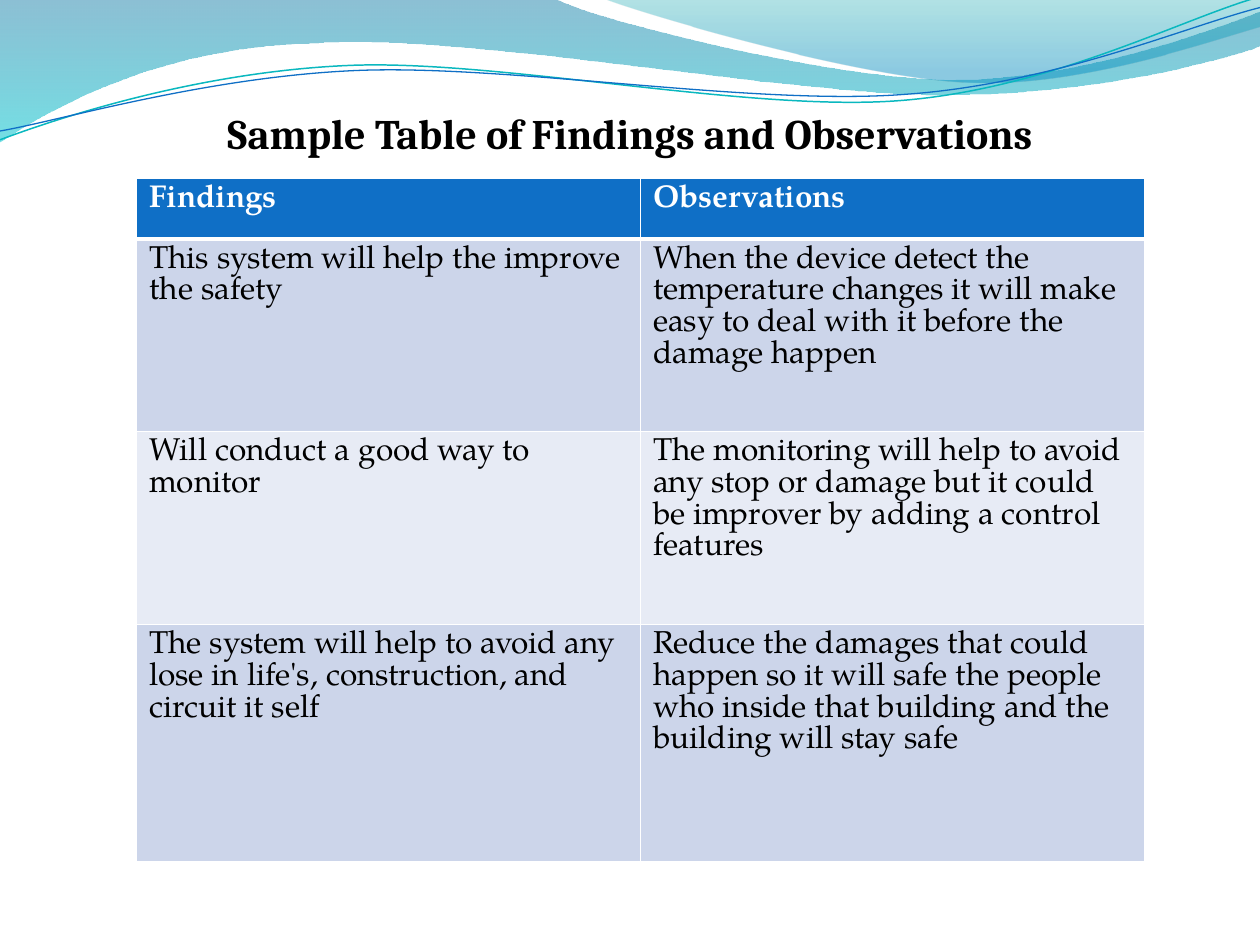
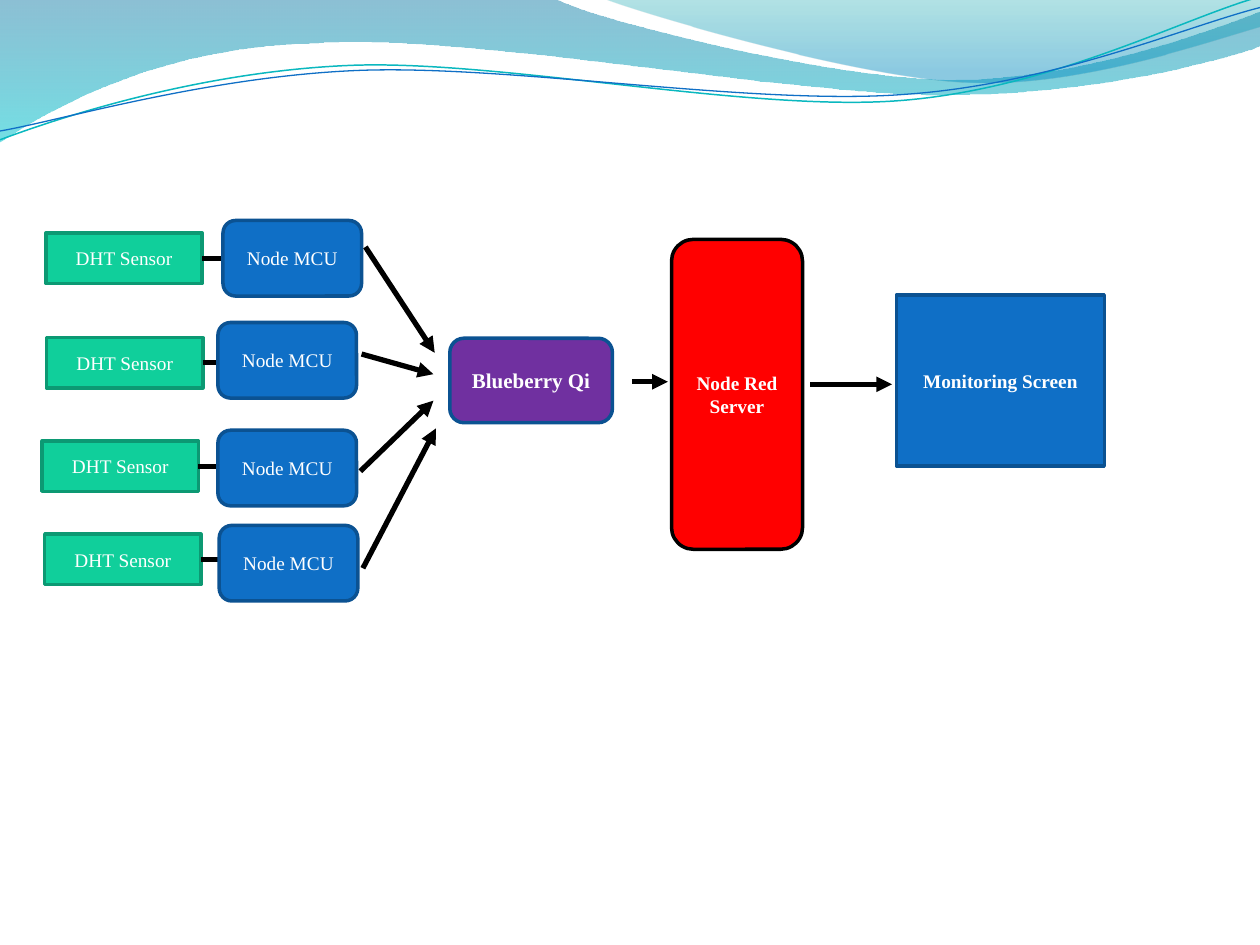
from pptx import Presentation
from pptx import util as u
from pptx.dml.color import RGBColor
from pptx.enum import shapes, text
from pptx.oxml.ns import qn
from lxml import etree

BLACK = RGBColor(0, 0, 0)
WHITE = RGBColor(255, 255, 255)
BLUE = RGBColor(0x0F, 0x6F, 0xC6)
NAVY = RGBColor(0x0B, 0x52, 0x92)
GREEN = RGBColor(0x10, 0xCF, 0x9B)
PINE = RGBColor(0x0C, 0x99, 0x73)
RED = RGBColor(255, 0, 0)
PURPLE = RGBColor(0x70, 0x30, 0xA0)
TEAL = RGBColor(0x0A, 0xB8, 0xBF)
PALE = RGBColor(0xE7, 0xEB, 0xF5)
MIST = RGBColor(0xCC, 0xD5, 0xEA)
DEEP = RGBColor(0, 0x74, 0xA1)
AQUA = RGBColor(0, 0xC6, 0xCF)
SEA = RGBColor(0, 0xA1, 0xA9)
SKY = RGBColor(0, 0x8B, 0xBF)

COLS, ROWS = 100, 75
UNIT = u.Inches(0.1)
SERIF = "Times New Roman"
RECT = shapes.MSO_SHAPE.RECTANGLE
ROUND = shapes.MSO_SHAPE.ROUNDED_RECTANGLE

WAVES = [
    ([(0, 0), (44, -0.1), (47.6, 1.7, 66.4, 6.3, 75.8, 6.3),
      (85.3, 6.3, 95.8, 2.6, 100, 0.9), (100.1, 3.6),
      (98.3, 4.4, 87, 7.6, 74.6, 7.5), (62.2, 7.5, 38.2, 2.8, 25.7, 3.4),
      (12.9, 3.6, 4.6, 8.3, -0.1, 11.3)],
     [(0, DEEP, 45), (1, AQUA, 55)]),
    ([(47.9, -0.1), (50.9, 1.1, 68.2, 6.2, 76.9, 6.5),
      (85.6, 6.9, 96.1, 3.2, 100, 2.1), (100, 0)],
     [(0, SEA, 30), (0.8, SKY, 45)]),
]
STROKES = [
    ([(0, 11.1), (4.8, 9.3, 15.8, 5.7, 27.7, 5.2),
      (39.5, 4.7, 59.3, 8.9, 71.3, 8), (83.3, 7.1, 93.8, 1.5, 99.8, -0.2)],
     TEAL, 0.85),
    ([(0, 10.4), (4.7, 9.6, 16.4, 6.1, 28.3, 5.6),
      (40.3, 5.1, 59.7, 8.4, 71.7, 7.5), (83.6, 6.7, 94.1, 2.1, 100, 0.6)],
     BLUE, 0.75),
]
FINDS = [
    ("Findings", "Observations"),
    ("This system will help the improve the safety",
     "When the device detect the temperature changes it will make easy to deal "
     "with it before the damage happen"),
    ("Will conduct a good way to monitor",
     "The monitoring will help to avoid any stop or damage but it could be "
     "improver by adding a control features"),
    ("The system will help to avoid any lose in life's, construction, and circuit it self",
     "Reduce the damages that could happen so it will safe the people who inside "
     "that building and the building will stay safe"),
]
CHAINS = [
    ((0.35, 1), (14.4, 0), (25.7, 2.1), (31.2, 10.5)),
    ((0.4, 9.3), (14, 8.1), (25.4, 10.6), (31.1, 12.2)),
    ((0.05, 17.5), (14, 16.65), (25.3, 19.9), (31.1, 14.3)),
    ((0.25, 24.9), (14.1, 24.2), (25.5, 27.6), (31.3, 16.5)),
]
STAGES = [
    ("Node Red Server", ROUND, (20, 1.5, 10.4, 24.6), RED, BLACK, 11),
    ("Monitoring Screen", RECT, (37.85, 5.9, 16.5, 13.6), BLUE, NAVY, 11),
    ("Blueberry Qi", ROUND, (2.4, 9.35, 12.9, 6.7), PURPLE, NAVY, 12),
]
HOPS = [((16.85, 12.8), (19.7, 12.8)), ((31, 13), (37.5, 13))]


def emu(*vals):
    return [round(v * UNIT) for v in vals]


def outline(slide, steps, close):
    spots = [emu(*step[i:i + 2]) for step in steps for i in range(0, len(step), 2)]
    pen = slide.shapes.build_freeform(*spots[0])
    pen.add_line_segments(spots[1:], close=close)
    shape = pen.convert_to_shape()
    shape.shadow.inherit = False
    lines = iter(list(shape.element.iter(qn("a:lnTo"))))
    for step in steps[1:]:
        first = next(lines)
        if len(step) == 6:
            first.tag = qn("a:cubicBezTo")
            for line in (next(lines), next(lines)):
                first.append(line[0])
                line.getparent().remove(line)
    return shape


def band(slide):
    for steps, stops in WAVES:
        wave = outline(slide, steps, True)
        wave.line.fill.background()
        wave.fill.gradient()
        wave.fill.gradient_angle = 270
        for stop, (pos, color, solid) in zip(wave.fill.gradient_stops, stops):
            stop.position = pos
            stop.color.rgb = color
        for tint, (pos, color, solid) in zip(wave.element.spPr.iter(qn("a:srgbClr")), stops):
            etree.SubElement(tint, qn("a:alpha"), val=str(solid * 1000))
    for steps, color, width in STROKES:
        curve = outline(slide, steps, False)
        curve.fill.background()
        curve.line.color.rgb = color
        curve.line.width = u.Pt(width)


def write(frame, words, font, size, color, bold=False, align=None):
    para = frame.paragraphs[0]
    para.alignment = align
    run = para.add_run()
    run.text = words
    run.font.name = font
    run.font.size = u.Pt(size)
    run.font.color.rgb = color
    run.font.bold = bold


def title(slide, words, box):
    frame = slide.shapes.add_textbox(*emu(*box)).text_frame
    frame.word_wrap = True
    frame.vertical_anchor = text.MSO_ANCHOR.BOTTOM
    frame.margin_left = frame.margin_right = frame.margin_bottom = 0
    write(frame, words, "Cambria", 24, BLACK, True, text.PP_ALIGN.CENTER)


def edge(cell, side, width):
    line = etree.SubElement(cell._tc.get_or_add_tcPr(), qn("a:ln" + side),
                            w=str(u.Pt(width)))
    fill = etree.SubElement(line, qn("a:solidFill"))
    etree.SubElement(fill, qn("a:srgbClr"), val=str(WHITE))


def grid(slide, box, rows, tall):
    table = slide.shapes.add_table(len(rows), len(rows[0]), *emu(*box)).table
    for i, row in enumerate(rows):
        table.rows[i].height = emu(tall[i])[0]
        head = i == 0
        for j, words in enumerate(row):
            cell = table.cell(i, j)
            for side in "LRTB":
                thick = (head and side == "B") or (i == 1 and side == "T")
                edge(cell, side, 3 if thick else 1)
            cell.fill.solid()
            cell.fill.fore_color.rgb = BLUE if head else MIST if i % 2 else PALE
            write(cell.text_frame, words, "TeX Gyre Pagella", 18,
                  WHITE if head else BLACK, head)


def block(slide, words, kind, box, fill, rim, size=11, bold=False):
    shape = slide.shapes.add_shape(kind, *emu(*box))
    shape.shadow.inherit = False
    shape.fill.solid()
    shape.fill.fore_color.rgb = fill
    shape.line.color.rgb = rim
    shape.line.width = u.Pt(2)
    frame = shape.text_frame
    frame.word_wrap = True
    frame.vertical_anchor = text.MSO_ANCHOR.MIDDLE
    write(frame, words, SERIF, size, WHITE, bold, text.PP_ALIGN.CENTER)
    return shape


def link(slide, start, end, arrow=True):
    line = slide.shapes.add_connector(shapes.MSO_CONNECTOR.STRAIGHT, *emu(*start, *end))
    line.line.color.rgb = BLACK
    line.line.width = u.Pt(3)
    props = line.element.spPr
    if arrow:
        etree.SubElement(props.find(qn("a:ln")), qn("a:tailEnd"), type="triangle")
    etree.SubElement(props, qn("a:effectLst"))
    return line


def shift(box, spot):
    return box[0] + spot[0], box[1] + spot[1]


def nodes(slide, box, wide=12.4, tall=4):
    for probe, board, start, end in CHAINS:
        x, y = shift(box, probe)
        sensor = block(slide, "DHT Sensor", RECT, (x, y, wide, tall), GREEN, PINE)
        mid = y + tall / 2
        wire = link(slide, (x + wide, mid), (box[0] + board[0], mid), False)
        wire.begin_connect(sensor, 3)
        block(slide, "Node MCU", ROUND, (*shift(box, board), 11, 6), BLUE, NAVY)
        link(slide, shift(box, start), shift(box, end))


def stages(slide, box):
    for words, kind, spot, fill, rim, size in STAGES:
        block(slide, words, kind, (*shift(box, spot), *spot[2:]), fill, rim, size, True)
    for start, end in HOPS:
        link(slide, shift(box, start), shift(box, end))


def page(deck):
    slide = deck.slides.add_slide(deck.slide_layouts[6])
    band(slide)
    return slide


def main():
    deck = Presentation()
    deck.slide_width, deck.slide_height = emu(COLS, ROWS)
    first = page(deck)
    title(first, "Sample Table of Findings and Observations", (3.33, 5.8, 93.33, 6.7))
    grid(first, (10.84, 14.16, 80, 54.2), FINDS, (4.8, 15.3, 15.3, 18.8))
    second = page(deck)
    nodes(second, (3.3, 17.5))
    stages(second, (33.3, 17.5))
    deck.save("out.pptx")


if __name__ == "__main__":
    main()
